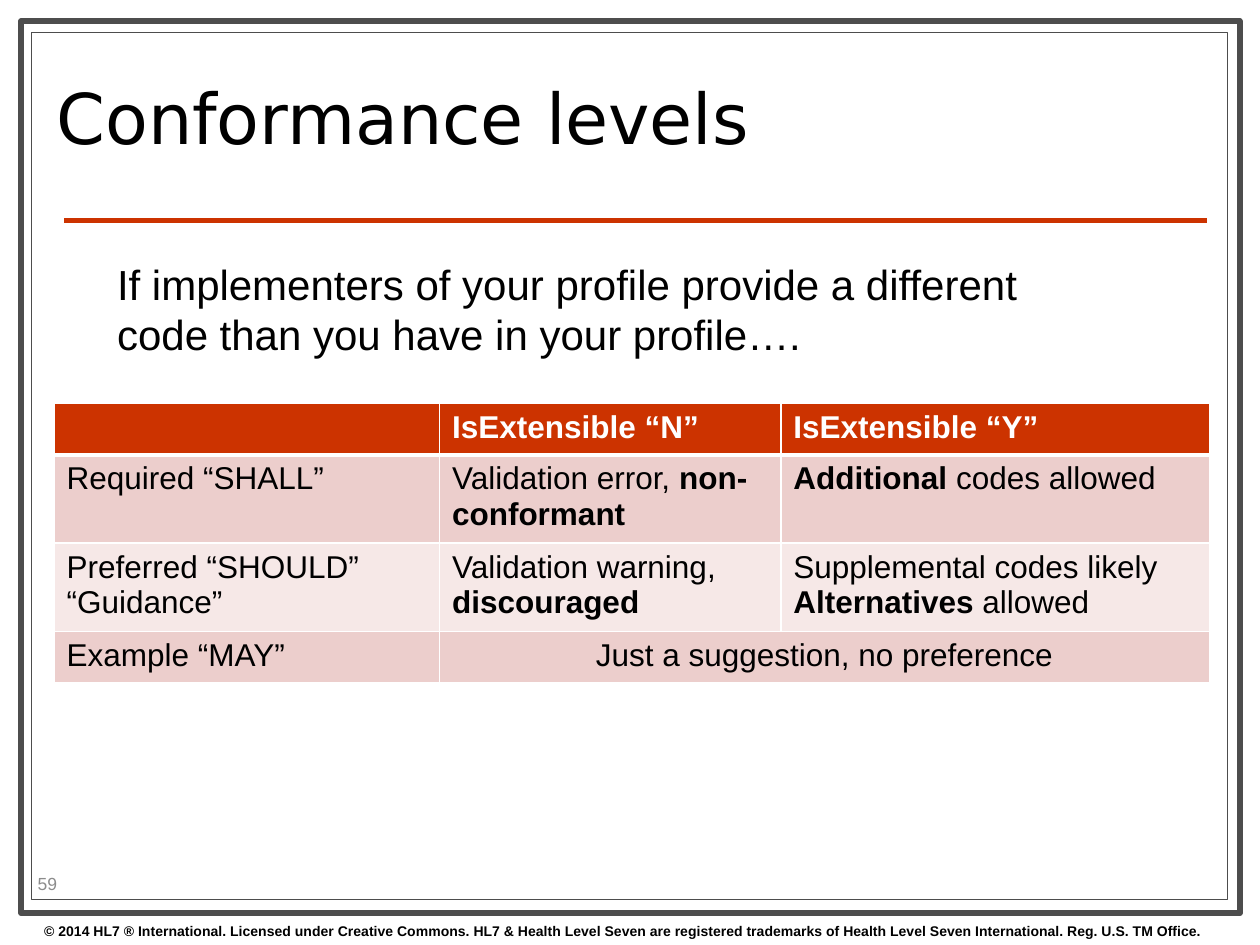
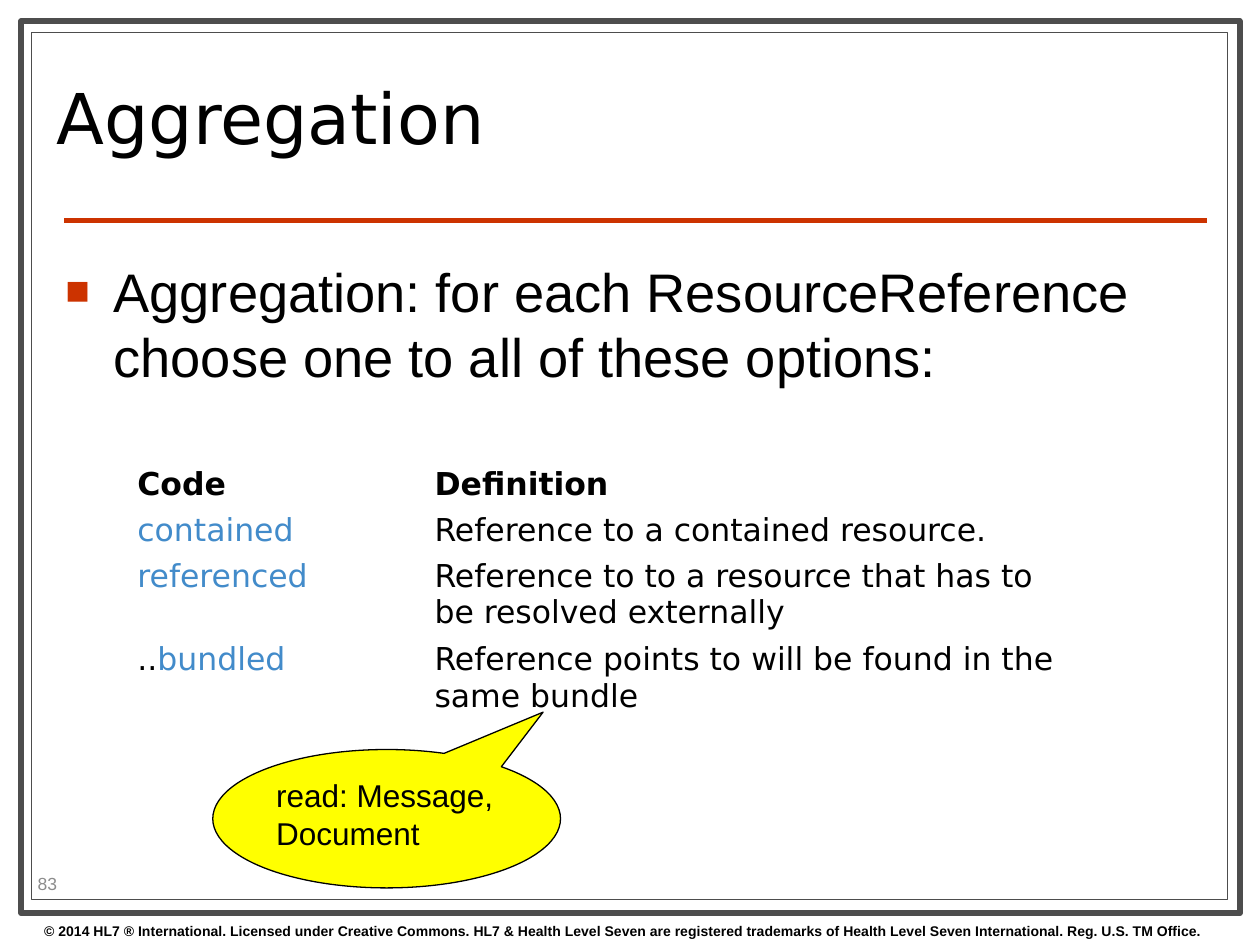
from lxml import etree
from pptx import Presentation
from pptx.dml.color import RGBColor
from pptx.enum.shapes import MSO_CONNECTOR, MSO_SHAPE
from pptx.enum.text import MSO_ANCHOR, PP_ALIGN
from pptx.oxml.ns import qn
from pptx.util import Cm, Pt

RECTANGLE = MSO_SHAPE.RECTANGLE
CALLOUT = MSO_SHAPE.OVAL_CALLOUT
STRAIGHT = MSO_CONNECTOR.STRAIGHT
TOP, MIDDLE = MSO_ANCHOR.TOP, MSO_ANCHOR.MIDDLE
LEFT, CENTER = PP_ALIGN.LEFT, PP_ALIGN.CENTER

WHITE = RGBColor(0xFF, 0xFF, 0xFF)
BLACK = RGBColor(0x00, 0x00, 0x00)
FRAME_GRAY = RGBColor(0x4D, 0x4D, 0x4D)
NUMBER_GRAY = RGBColor(0x8C, 0x8C, 0x8C)
RED = RGBColor(0xCC, 0x33, 0x00)
PINK = RGBColor(0xEC, 0xCE, 0xCC)
PALE_PINK = RGBColor(0xF6, 0xE8, 0xE7)
LINK_BLUE = RGBColor(0x42, 0x8B, 0xCA)
YELLOW = RGBColor(0xFF, 0xFF, 0x00)

BODY_FONT = "Arial"
TITLE_FONT = "DejaVu Sans"

COPYRIGHT = (
    "© 2014 HL7 ® International. Licensed under Creative Commons. "
    "HL7 & Health Level Seven are registered trademarks of "
    "Health Level Seven International. Reg. U.S. TM Office."
)


def bold(text):
    return text, {"bold": True}


def blue(text):
    return text, {"color": LINK_BLUE}


def write_paragraph(paragraph, runs, size, font=BODY_FONT, color=BLACK, bold=False):
    """Write runs, each a plain string or a (text, style changes) pair."""
    for item in runs:
        text, changes = (item, {}) if isinstance(item, str) else item
        run = paragraph.add_run()
        run.text = text
        run.font.name = font
        run.font.size = Pt(size)
        run.font.bold = changes.get("bold", bold)
        run.font.color.rgb = changes.get("color", color)


def add_text(slide, left, top, width, height, text, size, anchor=TOP, **style):
    box = slide.shapes.add_textbox(Cm(left), Cm(top), Cm(width), Cm(height))
    frame = box.text_frame
    frame.word_wrap = True
    frame.vertical_anchor = anchor
    write_paragraph(frame.paragraphs[0], [text], size, **style)
    return frame.paragraphs[0]


def add_filled_shape(slide, kind, left, top, width, height, fill, line, line_width):
    shape = slide.shapes.add_shape(kind, Cm(left), Cm(top), Cm(width), Cm(height))
    shape.shadow.inherit = False
    shape.fill.solid()
    shape.fill.fore_color.rgb = fill
    shape.line.color.rgb = line
    shape.line.width = Pt(line_width)
    return shape


def add_title_rule(slide):
    rule = slide.shapes.add_connector(STRAIGHT, Cm(1.3), Cm(4.45), Cm(24.33), Cm(4.45))
    rule.line.color.rgb = RED
    rule.line.width = Pt(3)
    etree.SubElement(rule._element.spPr, qn("a:effectLst"))


def add_framed_slide(presentation, title, number):
    """Add a slide with the shared frame, title, rule, number and copyright line."""
    slide = presentation.slides.add_slide(presentation.slide_layouts[6])
    add_filled_shape(slide, RECTANGLE, 0.43, 0.43, 24.56, 17.98, WHITE, FRAME_GRAY, 3.5)
    add_filled_shape(slide, RECTANGLE, 0.64, 0.66, 24.1, 17.48, WHITE, FRAME_GRAY, 0.75)
    add_title_rule(slide)
    add_text(slide, 0.64, 18.47, 25.4, 0.58, COPYRIGHT, 8, bold=True)
    heading = add_text(slide, 0.89, 0.91, 18.21, 3.2, title, 40, MIDDLE, font=TITLE_FONT)
    heading.line_spacing = 0.8
    add_text(slide, 0.51, 17.5, 2.01, 0.61, number, 10, MIDDLE, color=NUMBER_GRAY)
    return slide


def add_square_bullet(paragraph):
    properties = paragraph._p.get_or_add_pPr()
    properties.set("marL", str(Cm(0.97)))
    properties.set("indent", str(-Cm(0.97)))
    color = etree.SubElement(properties, qn("a:buClr"))
    etree.SubElement(color, qn("a:srgbClr"), val=str(RED))
    etree.SubElement(properties, qn("a:buSzPct"), val="75000")
    etree.SubElement(properties, qn("a:buFont"), typeface=BODY_FONT)
    etree.SubElement(properties, qn("a:buChar"), char="■")


def set_white_borders(cell, top, bottom):
    """Draw white cell borders; top and bottom are widths in points."""
    properties = cell._tc.get_or_add_tcPr()
    for side, width in (("L", 1), ("R", 1), ("T", top), ("B", bottom)):
        line = etree.SubElement(properties, qn(f"a:ln{side}"), w=str(Pt(width)))
        fill = etree.SubElement(line, qn("a:solidFill"))
        etree.SubElement(fill, qn("a:srgbClr"), val=str(WHITE))


def add_grid(slide, left, top, widths, heights):
    table = slide.shapes.add_table(
        len(heights), len(widths), Cm(left), Cm(top), Cm(sum(widths)), Cm(sum(heights))
    ).table
    table.horz_banding = False
    for column, width in zip(table.columns, widths):
        column.width = Cm(width)
    for row, height in zip(table.rows, heights):
        row.height = Cm(height)
    return table


def fill_cell(cell, paragraphs, fill, **style):
    cell.fill.solid()
    cell.fill.fore_color.rgb = fill
    frame = cell.text_frame
    for index, runs in enumerate(paragraphs):
        paragraph = frame.add_paragraph() if index else frame.paragraphs[0]
        write_paragraph(paragraph, runs, 18, **style)


def add_conformance_table(slide):
    rows = [
        [[], [["IsExtensible “N”"]], [["IsExtensible “Y”"]]],
        [
            [["Required “SHALL”"]],
            [["Validation error, ", bold("non-conformant")]],
            [[bold("Additional"), " codes allowed"]],
        ],
        [
            [["Preferred “SHOULD”"], ["“Guidance”"]],
            [["Validation warning, ", bold("discouraged")]],
            [["Supplemental codes likely"], [bold("Alternatives"), " allowed"]],
        ],
        [[["Example “MAY”"]], [["Just a suggestion, no preference"]], []],
    ]
    row_fills = [RED, PINK, PALE_PINK, PINK]
    table = add_grid(slide, 1.09, 8.13, [7.77, 6.88, 8.64], [1.04, 1.68, 1.68, 1.04])
    for row_index, (row, fill) in enumerate(zip(rows, row_fills)):
        header = row_index == 0
        for column_index, paragraphs in enumerate(row):
            cell = table.cell(row_index, column_index)
            set_white_borders(cell, 3 if row_index == 1 else 1, 3 if header else 1)
            fill_cell(cell, paragraphs, fill, color=WHITE if header else BLACK, bold=header)
    suggestion = table.cell(3, 1)
    suggestion.merge(table.cell(3, 2))
    suggestion.text_frame.paragraphs[0].alignment = CENTER


def add_code_table(slide):
    rows = [
        (["Code"], "Definition"),
        ([blue("contained")], "Reference to a contained resource."),
        (
            [blue("referenced")],
            "Reference to to a resource that has to be resolved externally",
        ),
        (["..", blue("bundled")], "Reference points to will be found in the same bundle"),
    ]
    table = add_grid(slide, 2.69, 9.32, [5.99, 13.21], [0.9, 0.9, 1.64, 1.64])
    for row_index, (code, definition) in enumerate(rows):
        for column_index, runs in enumerate((code, [definition])):
            cell = table.cell(row_index, column_index)
            cell.margin_left = cell.margin_right = Cm(0.08)
            cell.margin_top = cell.margin_bottom = Cm(0.08)
            fill_cell(cell, [runs], WHITE, font=TITLE_FONT, bold=row_index == 0)


def add_callout(slide, text):
    callout = add_filled_shape(
        slide, CALLOUT, 4.29, 15.11, 7.01, 2.79, YELLOW, BLACK, 0.75
    )
    callout.adjustments[0] = 0.45
    callout.adjustments[1] = -0.77
    frame = callout.text_frame
    frame.word_wrap = True
    frame.vertical_anchor = TOP
    paragraph = frame.paragraphs[0]
    paragraph.alignment = LEFT
    write_paragraph(paragraph, [text], 18)


def add_conformance_slide(presentation):
    slide = add_framed_slide(presentation, "Conformance levels", "59")
    add_conformance_table(slide)
    question = (
        "If implementers of your profile provide a different code "
        "than you have in your profile…."
    )
    add_text(slide, 2.11, 5.08, 20.19, 2.31, question, 24)


def add_aggregation_slide(presentation):
    slide = add_framed_slide(presentation, "Aggregation", "83")
    instruction = (
        "Aggregation: for each ResourceReference choose one to all of these options:"
    )
    add_square_bullet(add_text(slide, 1.07, 5.08, 23.29, 12.45, instruction, 31))
    add_code_table(slide)
    add_callout(slide, "read: Message, Document")


def main():
    presentation = Presentation()
    presentation.slide_width = Cm(25.4)
    presentation.slide_height = Cm(19.05)
    add_conformance_slide(presentation)
    add_aggregation_slide(presentation)
    presentation.save("out.pptx")


if __name__ == "__main__":
    main()
